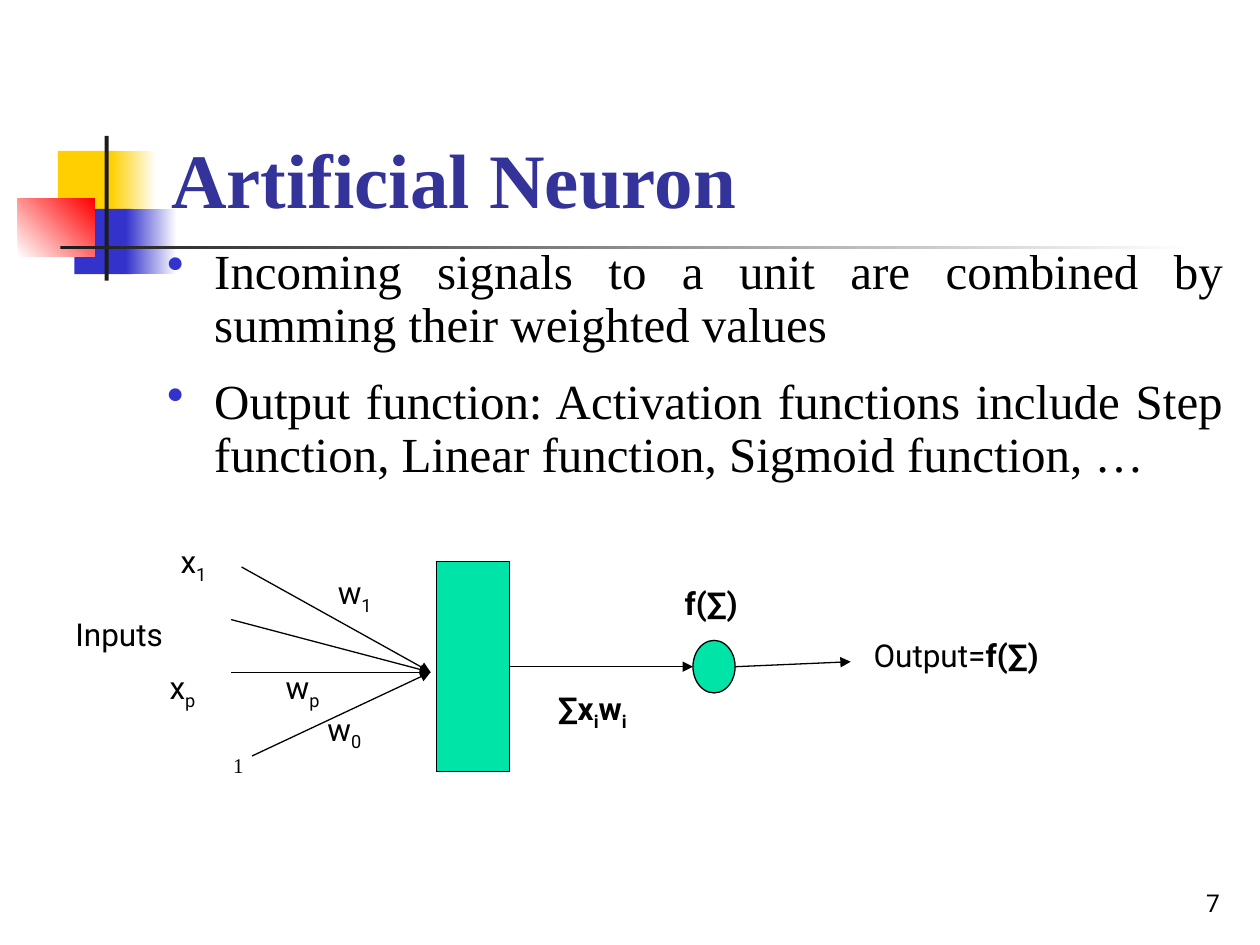
from lxml import etree
from pptx import Presentation
from pptx.dml.color import RGBColor
from pptx.enum import shapes, text
from pptx.oxml.ns import qn
from pptx.util import Cm, Pt

YELLOW = RGBColor(0xFF, 0xCF, 0x01)
BLUE = RGBColor(0x33, 0x33, 0xCC)
RED = RGBColor(0xFF, 0x00, 0x00)
WHITE = RGBColor(0xFF, 0xFF, 0xFF)
DARK = RGBColor(0x1C, 0x1C, 0x1C)
NAVY = RGBColor(0x33, 0x33, 0x99)
GREEN = RGBColor(0x00, 0xE4, 0xA8)
BLACK = RGBColor(0x00, 0x00, 0x00)
SERIF, SANS = "Times New Roman", "Roboto"
RECT, OVAL = shapes.MSO_SHAPE.RECTANGLE, shapes.MSO_SHAPE.OVAL
ALIGN, ANCHOR = text.PP_ALIGN, text.MSO_ANCHOR


def style(item, **values):
    for name, value in values.items():
        setattr(item, name, value)


def add_shape(slide, kind, box, fill, edge=None, angle=0):
    """Draw a shape; a pair of colours as fill makes a gradient."""
    shape = slide.shapes.add_shape(kind, *map(Cm, box))
    shape.shadow.inherit = False
    if isinstance(fill, list):
        shape.fill.gradient()
        shape.fill.gradient_angle = angle
        for stop, color in zip(shape.fill.gradient_stops, fill):
            stop.color.rgb = color
    else:
        shape.fill.solid()
        shape.fill.fore_color.rgb = fill
    if edge is None:
        shape.line.fill.background()
    else:
        shape.line.color.rgb = edge
        shape.line.width = Pt(0.75)


def add_arrow(slide, start, end):
    line = slide.shapes.add_connector(
        shapes.MSO_CONNECTOR.STRAIGHT, *map(Cm, start + end))
    line.line.color.rgb = BLACK
    line.line.width = Pt(0.75)
    etree.SubElement(line.line._get_or_add_ln(), qn("a:tailEnd"), type="triangle")
    etree.SubElement(line._element.spPr, qn("a:effectLst"))


def add_frame(slide, box, anchor=ANCHOR.TOP):
    frame = slide.shapes.add_textbox(*map(Cm, box)).text_frame
    style(frame, word_wrap=True, vertical_anchor=anchor)
    return frame


def add_run(para, words, size, face=SANS, color=BLACK, bold=False, sub=False):
    run = para.add_run()
    run.text = words
    style(run.font, size=Pt(size), name=face, bold=bold)
    run.font.color.rgb = color
    if sub:
        run._r.get_or_add_rPr().set("baseline", "-25000")


def add_label(slide, box, parts, size=18, face=SANS):
    """Write (words, marks) parts, where b is bold and s is subscript."""
    para = add_frame(slide, box).paragraphs[0]
    for words, marks in parts:
        add_run(para, words, size, face, bold="b" in marks, sub="s" in marks)


def add_emblem(slide, left, top):
    """Draw the coloured blocks with the cross of dark bars."""
    parts = [
        ((0.81, 0.3, 1.22, 1.32), YELLOW, 0),
        ((1.88, 0.3, 0.91, 1.32), [YELLOW, WHITE], 0),
        ((1.14, 1.47, 1.17, 1.32), BLUE, 0),
        ((2.18, 1.47, 1.02, 1.32), [BLUE, WHITE], 0),
        ((0, 1.27, 1.55, 1.17), [WHITE, RED], 45),
        ((1.75, 0, 0.08, 2.92), DARK, 0),
        ((0.86, 2.21, 22.86, 0.08), [DARK, WHITE], 0),
    ]
    for (x, y, wide, high), fill, angle in parts:
        add_shape(slide, RECT, (left + x, top + y, wide, high), fill, angle=angle)


def add_title(slide, box, words):
    para = add_frame(slide, box, ANCHOR.BOTTOM).paragraphs[0]
    add_run(para, words, 44, SERIF, NAVY, bold=True)


def add_bullets(slide, box, items):
    frame = add_frame(slide, box)
    for i, words in enumerate(items):
        para = frame.add_paragraph() if i else frame.paragraphs[0]
        style(para, alignment=ALIGN.JUSTIFY, line_spacing=0.9)
        if i:
            para.space_before = Pt(14)
        props = para._p.get_or_add_pPr()
        props.set("marL", str(Cm(0.95)))
        props.set("indent", str(-Cm(0.95)))
        color = etree.SubElement(props, qn("a:buClr"))
        etree.SubElement(color, qn("a:srgbClr"), val=str(BLUE))
        etree.SubElement(props, qn("a:buChar"), char="•")
        add_run(para, words, 28, SERIF)


def add_neuron(slide, left, top):
    """Draw inputs, weights, summing block, activation and output."""
    def at(x, y):
        return left + x, top + y

    add_shape(slide, RECT, at(7.53, 0.52) + (1.47, 4.24), GREEN, BLACK)
    add_shape(slide, OVAL, at(12.7, 2.11) + (0.85, 1.06), GREEN, BLACK)

    for start in [(3.81, 4.44), (3.39, 2.75), (3.39, 1.69), (3.6, 0.63)]:
        add_arrow(slide, at(*start), at(7.41, 2.75))
    add_arrow(slide, at(9, 2.64), at(12.7, 2.64))
    add_arrow(slide, at(13.55, 2.64), at(15.88, 2.54))

    add_label(slide, at(3.18, 4.24) + (1.07, 0.76), [("1", "")], 12, SERIF)
    words = [
        (12.28, 0.85, 2.12, [("f(∑)", "b")]),
        (0, 1.47, 2.54, [("Inputs", "")]),
        (16.09, 1.9, 4.87, [("Output=", ""), ("f(∑)", "b")]),
        (9.73, 2.97, 2.54, [("∑x", "b"), ("i", "bs"), ("w", "b"), ("i", "bs")]),
    ]
    for x, y, wide, parts in words:
        add_label(slide, at(x, y) + (wide, 1.02), parts)
    terms = [
        (2.12, 0, "x", "1"), (1.9, 2.54, "x", "p"), (5.29, 0.63, "w", "1"),
        (5.08, 3.38, "w", "0"), (4.24, 2.54, "w", "p"),
    ]
    for x, y, base, index in terms:
        add_label(slide, at(x, y) + (1.27, 1.02), [(base, ""), (index, "s")])


def add_number(slide, box, words):
    para = add_frame(slide, box, ANCHOR.BOTTOM).paragraphs[0]
    para.alignment = ALIGN.RIGHT
    add_run(para, words, 14)


def main():
    deck = Presentation()
    style(deck, slide_width=Cm(25.4), slide_height=Cm(19.05))
    slide = deck.slides.add_slide(deck.slide_layouts[6])
    add_emblem(slide, 0.36, 2.74)
    add_number(slide, (19.56, 17.35, 5.28, 1.27), "7")
    add_title(slide, (3.2, 0.58, 21.64, 4.06), "Artificial Neuron")
    add_bullets(slide, (3.12, 4.85, 21.79, 5.51), [
        "Incoming signals to a unit are combined by summing their weighted values",
        "Output function: Activation functions include Step function, "
        "Linear function, Sigmoid function, …",
    ])
    add_neuron(slide, 1.27, 10.8)
    deck.save("out.pptx")


if __name__ == "__main__":
    main()
